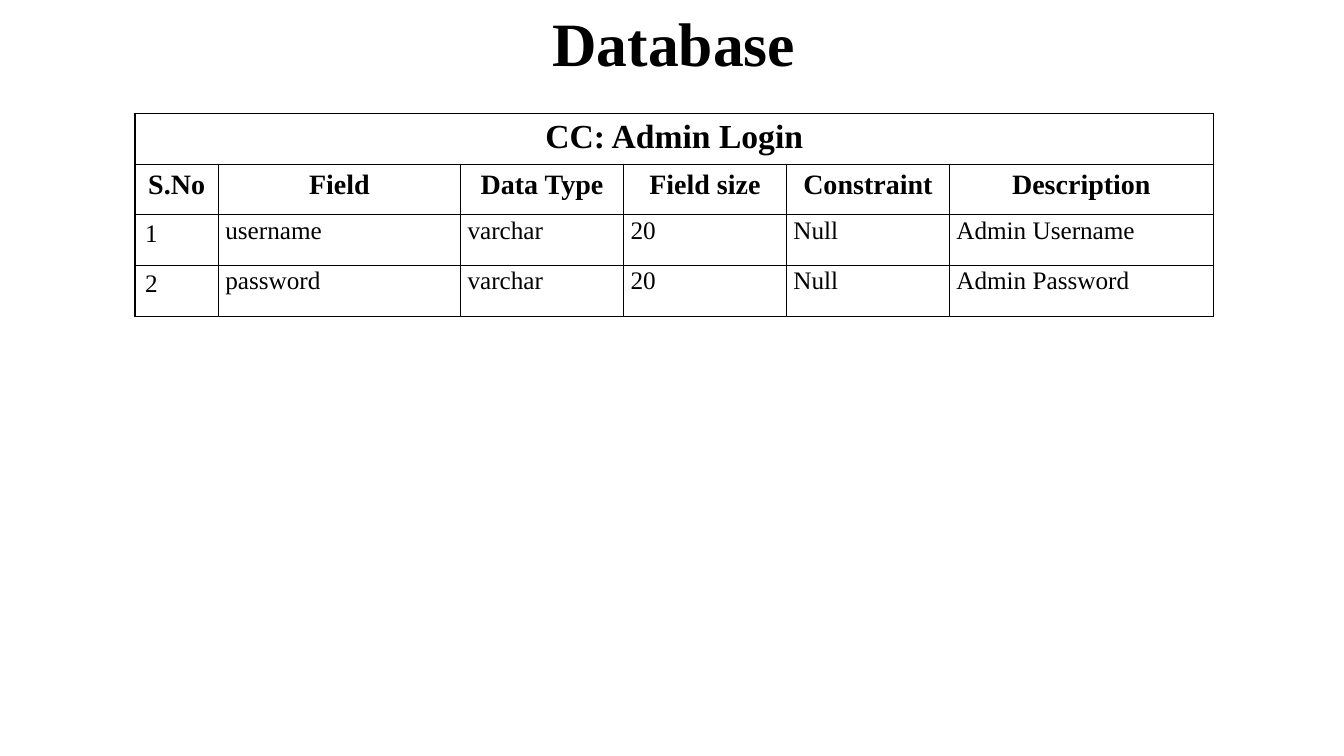
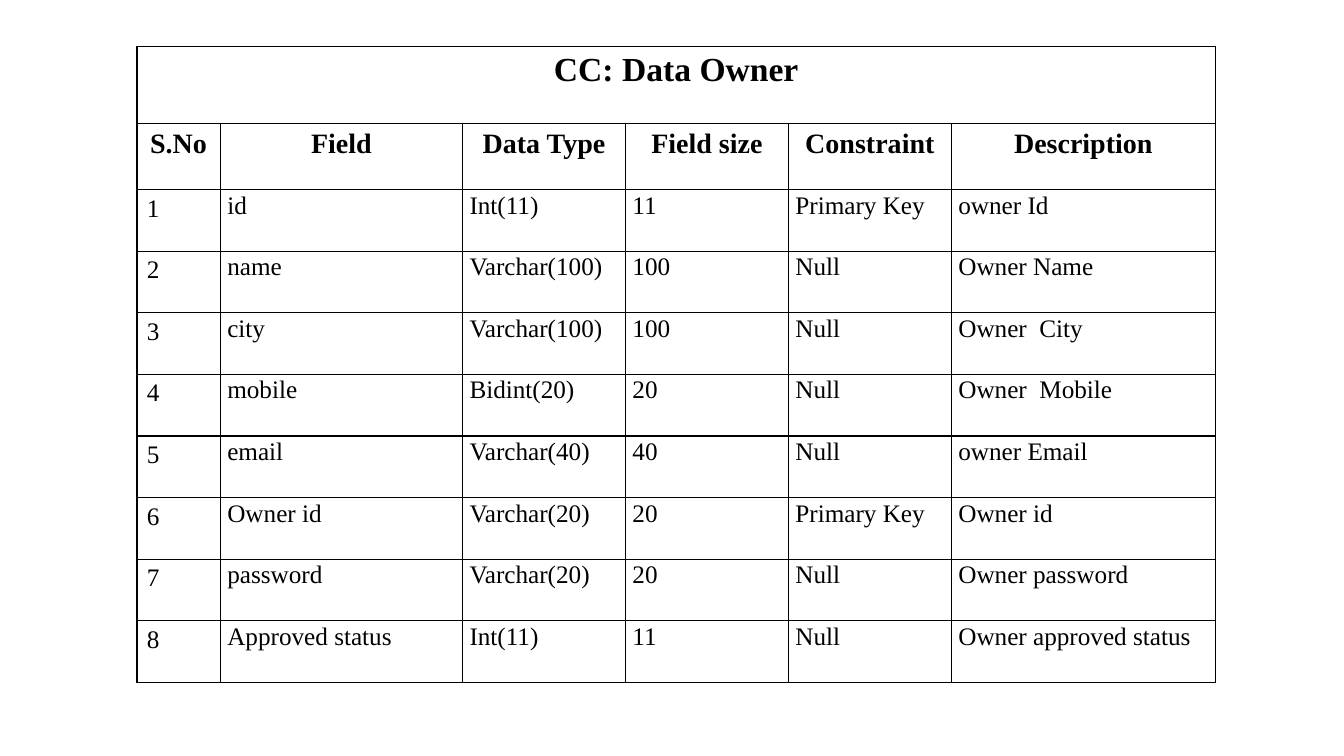
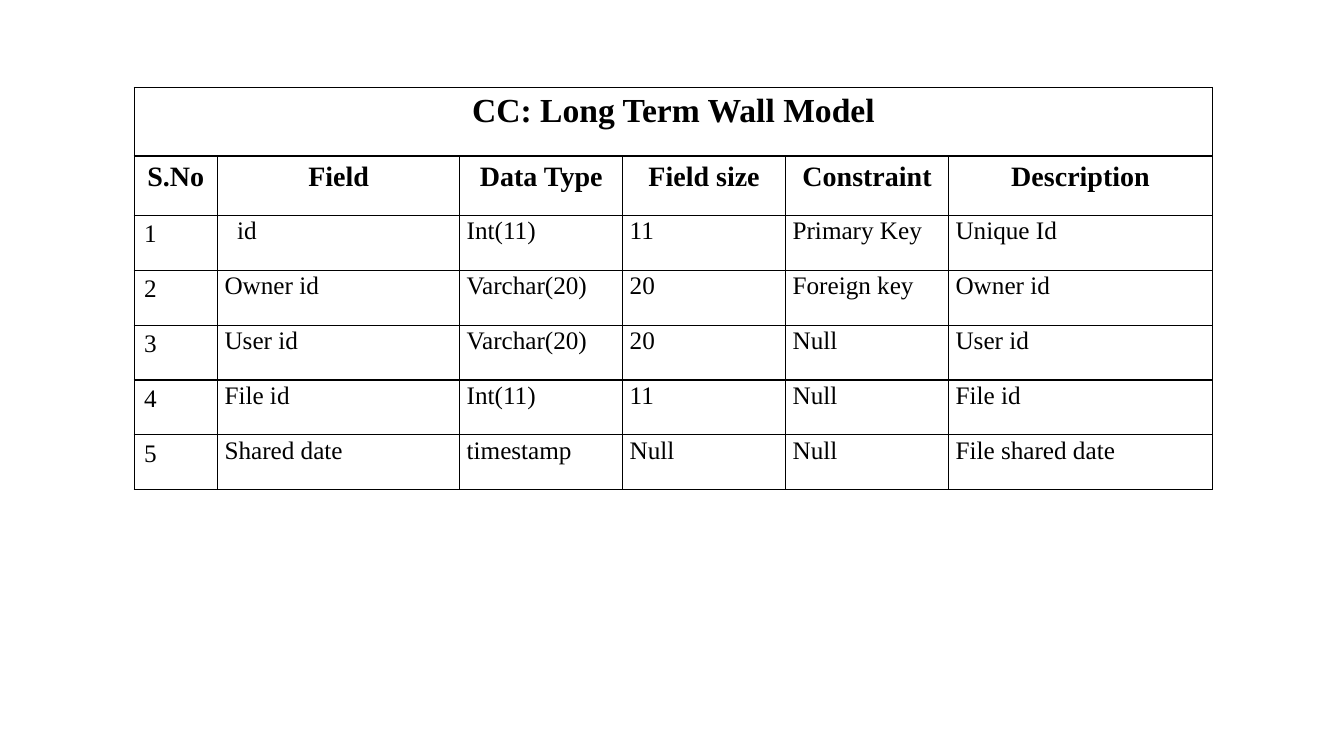
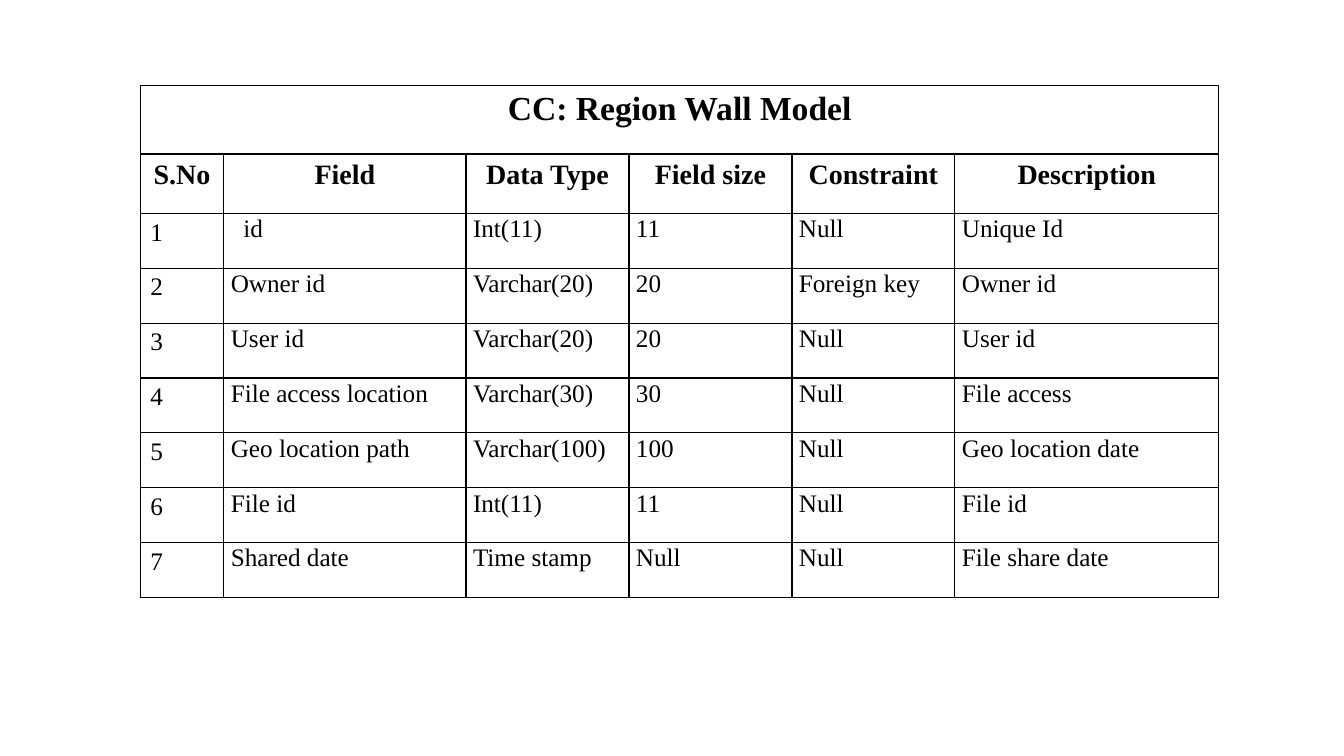
from dataclasses import dataclass

from lxml import etree
from pptx import Presentation
from pptx.dml.color import RGBColor
from pptx.enum import text
from pptx.oxml import ns
from pptx.util import Pt


@dataclass(frozen=True)
class Theme:
    font: str = "Times New Roman"
    ink: str = "000000"
    title: float = 44
    caption: float = 24
    heading: float = 20
    body: float = 18
    border: float = 1
    line_spacing: float = 1.07
    side_inset: float = 5
    indent: float = 9


THEME = Theme()
SLIDE_SIZE = (960, 540)
COLUMN_WIDTHS = (59.6, 173, 116.4, 116.4, 116.4, 188.6)
HEADINGS = ("S.No", "Field", "Data Type", "Field size", "Constraint", "Description")

SCHEMAS = [
    {
        "title": "Database",
        "caption": "CC: Admin Login",
        "origin": (96.4, 81),
        "heights": (36.2, 36.2, 36.2),
        "fields": [
            ("username", "varchar", "20", "Null", "Admin Username"),
            ("password", "varchar", "20", "Null", "Admin Password"),
        ],
    },
    {
        "caption": "CC: Data Owner",
        "origin": (97.8, 33),
        "heights": (55, 47.5, 44),
        "fields": [
            ("id", "Int(11)", "11", "Primary Key", "owner Id"),
            ("name", "Varchar(100)", "100", "Null", "Owner Name"),
            ("city", "Varchar(100)", "100", "Null", "Owner  City"),
            ("mobile", "Bidint(20)", "20", "Null", "Owner  Mobile"),
            ("email", "Varchar(40)", "40", "Null", "owner Email"),
            ("Owner id", "Varchar(20)", "20", "Primary Key", "Owner id"),
            ("password", "Varchar(20)", "20", "Null", "Owner password"),
            ("Approved status", "Int(11)", "11", "Null", "Owner approved status"),
        ],
    },
    {
        "caption": "CC: Long Term Wall Model",
        "origin": (95.8, 62.4),
        "heights": (49, 42.5, 39.2),
        "indented": "id",
        "fields": [
            ("id", "Int(11)", "11", "Primary Key", "Unique Id"),
            ("Owner id", "Varchar(20)", "20", "Foreign key", "Owner id"),
            ("User id", "Varchar(20)", "20", "Null", "User id"),
            ("File id", "Int(11)", "11", "Null", "File id"),
            ("Shared date", "timestamp", "Null", "Null", "File shared date"),
        ],
    },
    {
        "caption": "CC: Region Wall Model",
        "origin": (100.3, 61),
        "heights": (49, 42.5, 39.2),
        "indented": "id",
        "fields": [
            ("id", "Int(11)", "11", "Null", "Unique Id"),
            ("Owner id", "Varchar(20)", "20", "Foreign key", "Owner id"),
            ("User id", "Varchar(20)", "20", "Null", "User id"),
            ("File access location", "Varchar(30)", "30", "Null", "File access"),
            ("Geo location path", "Varchar(100)", "100", "Null", "Geo location date"),
            ("File id", "Int(11)", "11", "Null", "File id"),
            ("Shared date", "Time stamp", "Null", "Null", "File share date"),
        ],
    },
]


def apply(target, values):
    for name, value in values.items():
        setattr(target, name, value)


def write(frame, words, size, bold=False, centred=False, spacing=None):
    line = frame.paragraphs[0]
    align = text.PP_ALIGN.CENTER if centred else text.PP_ALIGN.LEFT
    apply(line, {"alignment": align, "line_spacing": spacing})
    run = line.add_run()
    run.text = words
    apply(run.font, {"name": THEME.font, "size": Pt(size), "bold": bold})
    run.font.color.rgb = RGBColor.from_string(THEME.ink)


def outline(cell):
    properties = cell._tc.get_or_add_tcPr()
    for side in ("lnL", "lnR", "lnT", "lnB"):
        edge = etree.SubElement(properties, ns.qn(f"a:{side}"), w=str(Pt(THEME.border)))
        fill = etree.SubElement(edge, ns.qn("a:solidFill"))
        etree.SubElement(fill, ns.qn("a:srgbClr"), val=THEME.ink)
    cell.fill.background()


def add_title(slide, words):
    title = slide.shapes.add_textbox(Pt(31.7), Pt(0), Pt(899.3), Pt(60.5))
    title.text_frame.word_wrap = True
    write(title.text_frame, words, THEME.title, bold=True, centred=True)


def add_schema_table(slide, caption, origin, heights, fields, indented=None):
    caption_height, heading_height, field_height = heights
    row_heights = [caption_height, heading_height] + [field_height] * len(fields)
    left, top = origin
    grid = slide.shapes.add_table(
        len(row_heights), len(HEADINGS), Pt(left), Pt(top),
        Pt(sum(COLUMN_WIDTHS)), Pt(sum(row_heights)),
    ).table
    apply(grid, {"first_row": False, "horz_banding": False})
    for column, width in zip(grid.columns, COLUMN_WIDTHS):
        column.width = Pt(width)
    for row, height in zip(grid.rows, row_heights):
        row.height = Pt(height)
    for cell in grid.iter_cells():
        outline(cell)

    grid.cell(0, 0).merge(grid.cell(0, len(HEADINGS) - 1))
    write(grid.cell(0, 0).text_frame, caption, THEME.caption, bold=True, centred=True)
    for column, heading in enumerate(HEADINGS):
        write(grid.cell(1, column).text_frame, heading, THEME.heading, bold=True, centred=True)
    for number, field in enumerate(fields, 1):
        write(grid.cell(number + 1, 0).text_frame, str(number), THEME.body)
        for column, value in enumerate(field, 1):
            cell = grid.cell(number + 1, column)
            inset = THEME.side_inset + (THEME.indent if value == indented else 0)
            apply(cell, {
                "margin_left": Pt(inset), "margin_right": Pt(THEME.side_inset),
                "margin_top": Pt(0), "margin_bottom": Pt(0),
            })
            write(cell.text_frame, value, THEME.body, spacing=THEME.line_spacing)


def main():
    deck = Presentation()
    deck.slide_width, deck.slide_height = map(Pt, SLIDE_SIZE)
    for schema in SCHEMAS:
        slide = deck.slides.add_slide(deck.slide_layouts[6])
        details = dict(schema)
        title = details.pop("title", None)
        add_schema_table(slide, **details)
        if title:
            add_title(slide, title)
    deck.save("out.pptx")


if __name__ == "__main__":
    main()
